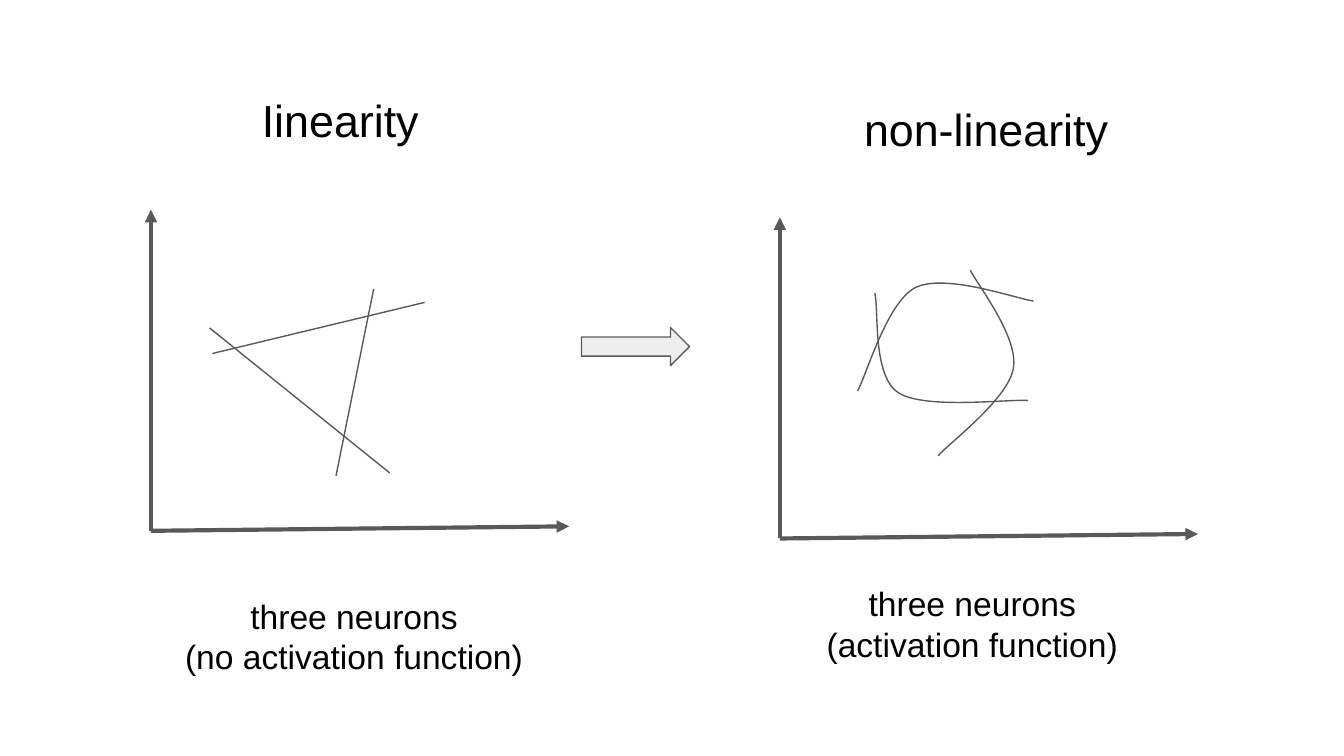
"""Build a slide comparing linear and non-linear neuron boundaries."""
from lxml import etree
from pptx import Presentation
from pptx import util as u
from pptx.dml.color import RGBColor
from pptx.enum import shapes, text
from pptx.oxml.ns import qn

COLORS = {"ink": "000000", "line": "595959", "arrow": "EEEEEE"}
FONT = "Arial"
THIN, THICK = 0.75, 2.25

TITLES = [
    ("Iinearity", (133.2, 42.5, 108, 42.5)),
    ("non-linearity", (455.8, 47.5, 148.3, 33.8)),
]
CAPTIONS = [
    ("three neurons\n(no activation function)", (90, 311.8, 199.4, 59)),
    ("three neurons\n(activation function)", (421.2, 305.3, 199.4, 59)),
]
AXIS_ORIGINS = [(80.9, 284.4), (417.8, 288.5)]
AXIS_HEIGHT, AXIS_WIDTH, AXIS_RISE = 172, 224, 2.4
STRAIGHT_BOUNDARIES = [
    ((112.3, 175.7), (208.8, 253.4)),
    ((113.8, 189.4), (227.5, 162)),
    ((200.2, 154.8), (180, 254.9)),
]
CURVED_BOUNDARIES = [
    [(468.7, 157), (470.9, 165.6), (467.3, 200.9), (481, 210.2),
     (494.6, 219.6), (539.3, 213.8), (550.8, 214.6)],
    [(459.4, 209.5), (464.4, 200.2), (475.2, 162), (490.3, 154.1),
     (506.2, 146.2), (543.6, 159.8), (553.7, 161.3)],
    [(519.8, 144.7), (524.2, 153.4), (545.8, 180.7), (542.9, 197.3),
     (540, 213.8), (509.8, 236.2), (502.6, 244.1)],
]
BLOCK_ARROW = (311.5, 175.5, 57.9, 20.4)


def color(name):
    return RGBColor.from_string(COLORS[name])


def points(values):
    return [u.Pt(value) for value in values]


def style_line(shape, width):
    shape.line.color.rgb = color("line")
    shape.line.width = u.Pt(width)


def add_text(slide, content, box, size, align=text.PP_ALIGN.LEFT):
    shape = slide.shapes.add_textbox(*points(box))
    frame = shape.text_frame
    frame.word_wrap = True
    frame.margin_left = frame.margin_right = u.Pt(7.2)
    frame.margin_top = frame.margin_bottom = u.Pt(7.2)
    frame.text = content
    for paragraph in frame.paragraphs:
        paragraph.alignment = align
        paragraph.font.name = FONT
        paragraph.font.size = u.Pt(size)
        paragraph.font.color.rgb = color("ink")


def add_line(slide, start, end, width=THIN, arrow=False):
    connector = slide.shapes.add_connector(
        shapes.MSO_CONNECTOR.STRAIGHT, *points(start + end))
    style_line(connector, width)
    if arrow:
        line = connector.line._get_or_add_ln()
        etree.SubElement(line, qn("a:tailEnd"), type="triangle")
    etree.SubElement(connector._element.spPr, qn("a:effectLst"))


def add_curve(slide, nodes):
    start, *controls = [points(node) for node in nodes]
    builder = slide.shapes.build_freeform(*start)
    builder.add_line_segments(controls, close=False)
    shape = builder.convert_to_shape()
    segments = list(shape._element.iter(qn("a:lnTo")))
    for first in range(0, len(segments), 3):
        group = segments[first:first + 3]
        bezier = etree.Element(qn("a:cubicBezTo"))
        group[0].addprevious(bezier)
        for segment in group:
            bezier.append(segment[0])
            segment.getparent().remove(segment)
    shape.fill.background()
    style_line(shape, THIN)
    shape.shadow.inherit = False


def add_axes(slide, x, y):
    for end in [(x, y - AXIS_HEIGHT), (x + AXIS_WIDTH, y - AXIS_RISE)]:
        add_line(slide, (x, y), end, width=THICK, arrow=True)


def add_block_arrow(slide):
    shape = slide.shapes.add_shape(
        shapes.MSO_SHAPE.RIGHT_ARROW, *points(BLOCK_ARROW))
    shape.fill.solid()
    shape.fill.fore_color.rgb = color("arrow")
    style_line(shape, THIN)
    shape.shadow.inherit = False


def main():
    presentation = Presentation()
    presentation.slide_width = u.Pt(720)
    presentation.slide_height = u.Pt(405)
    slide = presentation.slides.add_slide(presentation.slide_layouts[6])
    for origin in AXIS_ORIGINS:
        add_axes(slide, *origin)
    add_block_arrow(slide)
    for start, end in STRAIGHT_BOUNDARIES:
        add_line(slide, start, end)
    for nodes in CURVED_BOUNDARIES:
        add_curve(slide, nodes)
    for content, box in TITLES:
        add_text(slide, content, box, size=24)
    for content, box in CAPTIONS:
        add_text(slide, content, box, size=18, align=text.PP_ALIGN.CENTER)
    presentation.save("out.pptx")


if __name__ == "__main__":
    main()
